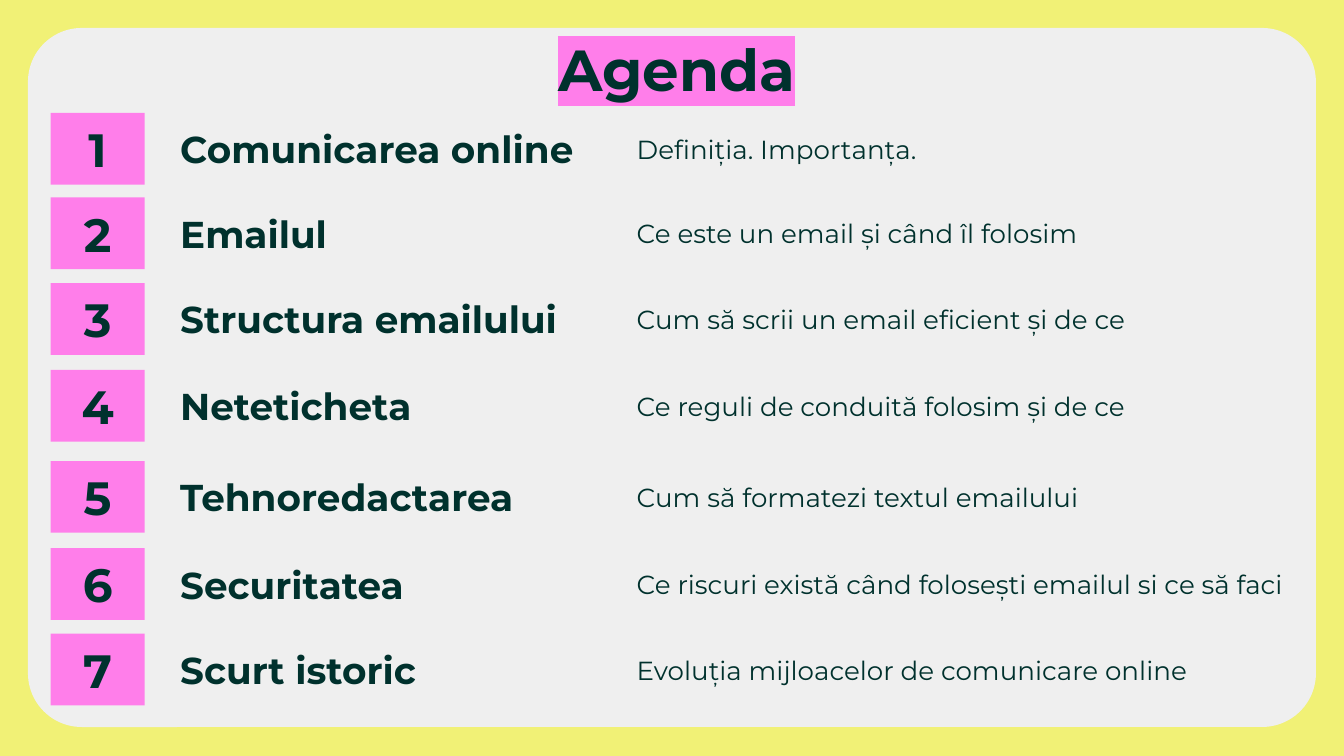
from lxml.etree import SubElement
from pptx import Presentation
from pptx.dml.color import RGBColor as RGB
from pptx.enum.shapes import MSO_SHAPE as SHAPE
from pptx.enum.text import MSO_ANCHOR as ANCHOR, MSO_AUTO_SIZE as AUTO, PP_ALIGN as ALIGN
from pptx.oxml.ns import qn
from pptx.util import Pt

COLORS = {"yellow": "F1F176", "panel": "EFEFEF", "pink": "FF7EEA", "ink": "00312D"}

# Top of each row, number is its position, then heading and description
AGENDA = [
    (60.5, "Comunicarea online", "Definiția. Importanța."),
    (105.8, "Emailul", "Ce este un email și când îl folosim"),
    (151.7, "Structura emailului", "Cum să scrii un email eficient și de ce"),
    (198.2, "Neteticheta", "Ce reguli de conduită folosim și de ce"),
    (247, "Tehnoredactarea", "Cum să formatezi textul emailului"),
    (293.7, "Securitatea", "Ce riscuri există când folosești emailul si ce să faci"),
    (339.5, "Scurt istoric", "Evoluția mijloacelor de comunicare online"),
]
ROW_HEIGHT = 38.4


def fill_shape(shape, color):
    shape.shadow.inherit = False
    shape.fill.solid()
    shape.fill.fore_color.rgb = RGB.from_string(COLORS[color])
    shape.line.fill.background()


def set_text(shape, text, size, bold=True, align=ALIGN.LEFT, anchor=ANCHOR.MIDDLE):
    frame = shape.text_frame
    frame.text = text
    frame.word_wrap = True
    frame.auto_size = AUTO.NONE
    frame.vertical_anchor = anchor
    frame.margin_left = frame.margin_right = Pt(7.2)
    frame.margin_top = frame.margin_bottom = Pt(7.2)
    para = frame.paragraphs[0]
    para.alignment = align
    span = para.runs[0]
    span.font.size = Pt(size)
    span.font.bold = bold
    span.font.color.rgb = RGB.from_string(COLORS["ink"])
    span.font.name = "Montserrat"
    return span


deck = Presentation()
deck.slide_width, deck.slide_height = Pt(720), Pt(405)
page = deck.slides.add_slide(deck.slide_layouts[5])
page.background.fill.solid()
page.background.fill.fore_color.rgb = RGB.from_string(COLORS["yellow"])

# Rounded panel
panel = page.shapes.add_shape(SHAPE.ROUNDED_RECTANGLE, Pt(15), Pt(15), Pt(690), Pt(374.5))
panel.adjustments[0] = 0.077
fill_shape(panel, "panel")

# Highlighted title, raised above the panel
title = page.shapes.title
title.left, title.top, title.width, title.height = Pt(59), Pt(10.8), Pt(607), Pt(45.4)
span = set_text(title, "Agenda", 31, align=ALIGN.CENTER, anchor=ANCHOR.TOP)
properties = span.font._element if hasattr(span.font, "_element") else span._r.get_or_add_rPr()
highlight = SubElement(properties, qn("a:highlight"))
SubElement(highlight, qn("a:srgbClr"), val=COLORS["pink"])
properties.find(qn("a:solidFill")).addnext(highlight)
panel._element.addnext(title._element)

# Agenda rows: number tile, heading, description
for number, (top, heading, description) in enumerate(AGENDA, start=1):
    tile = page.shapes.add_shape(SHAPE.RECTANGLE, Pt(27.1), Pt(top), Pt(50.4), Pt(ROW_HEIGHT))
    fill_shape(tile, "pink")
    set_text(tile, str(number), 25, align=ALIGN.CENTER)

    for left, width, text, size, bold in (
        (89.5, 232.5, heading, 20, True),
        (334, 364, description, 14, False),
    ):
        box = page.shapes.add_textbox(Pt(left), Pt(top), Pt(width), Pt(ROW_HEIGHT))
        set_text(box, text, size, bold)

deck.save("out.pptx")
